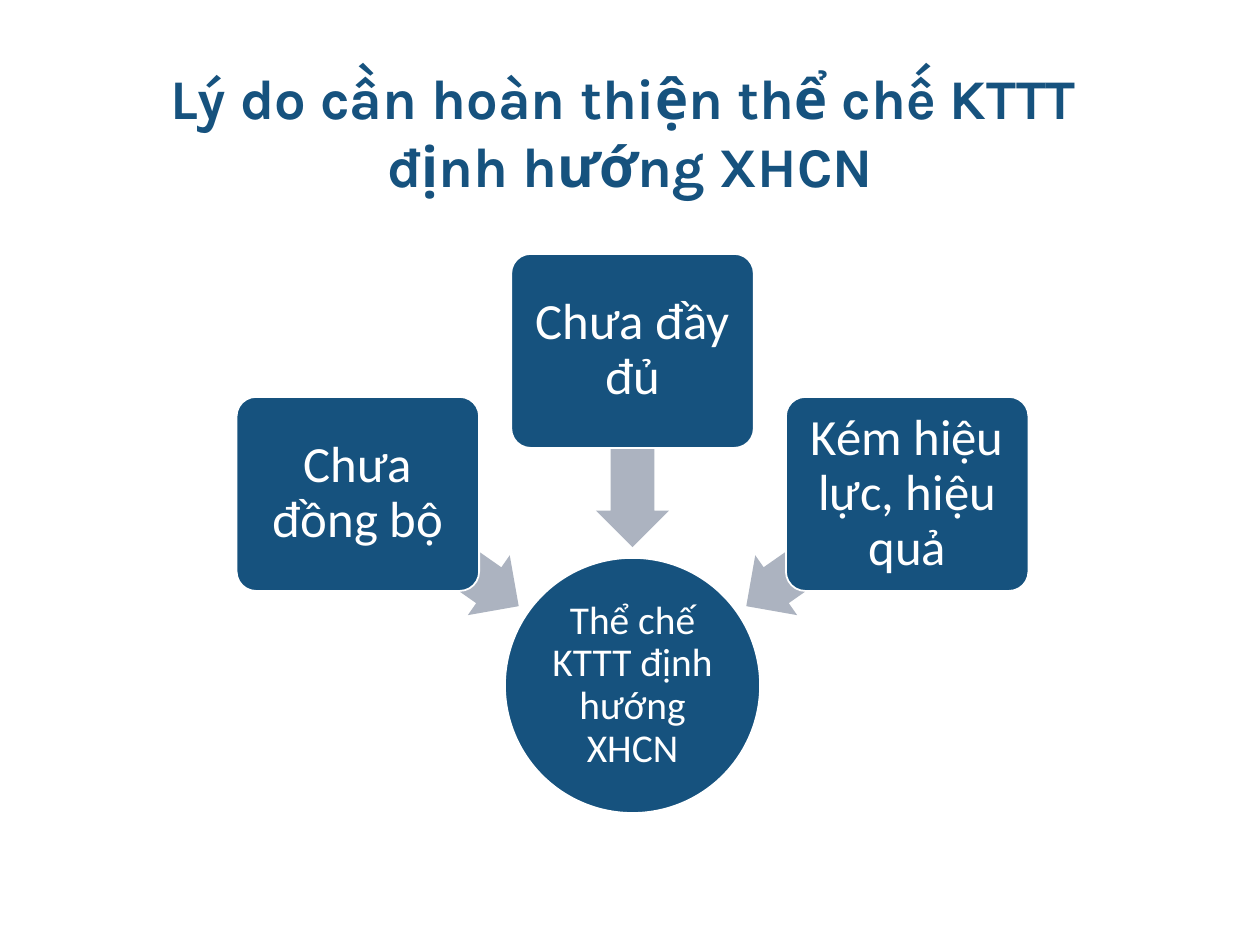
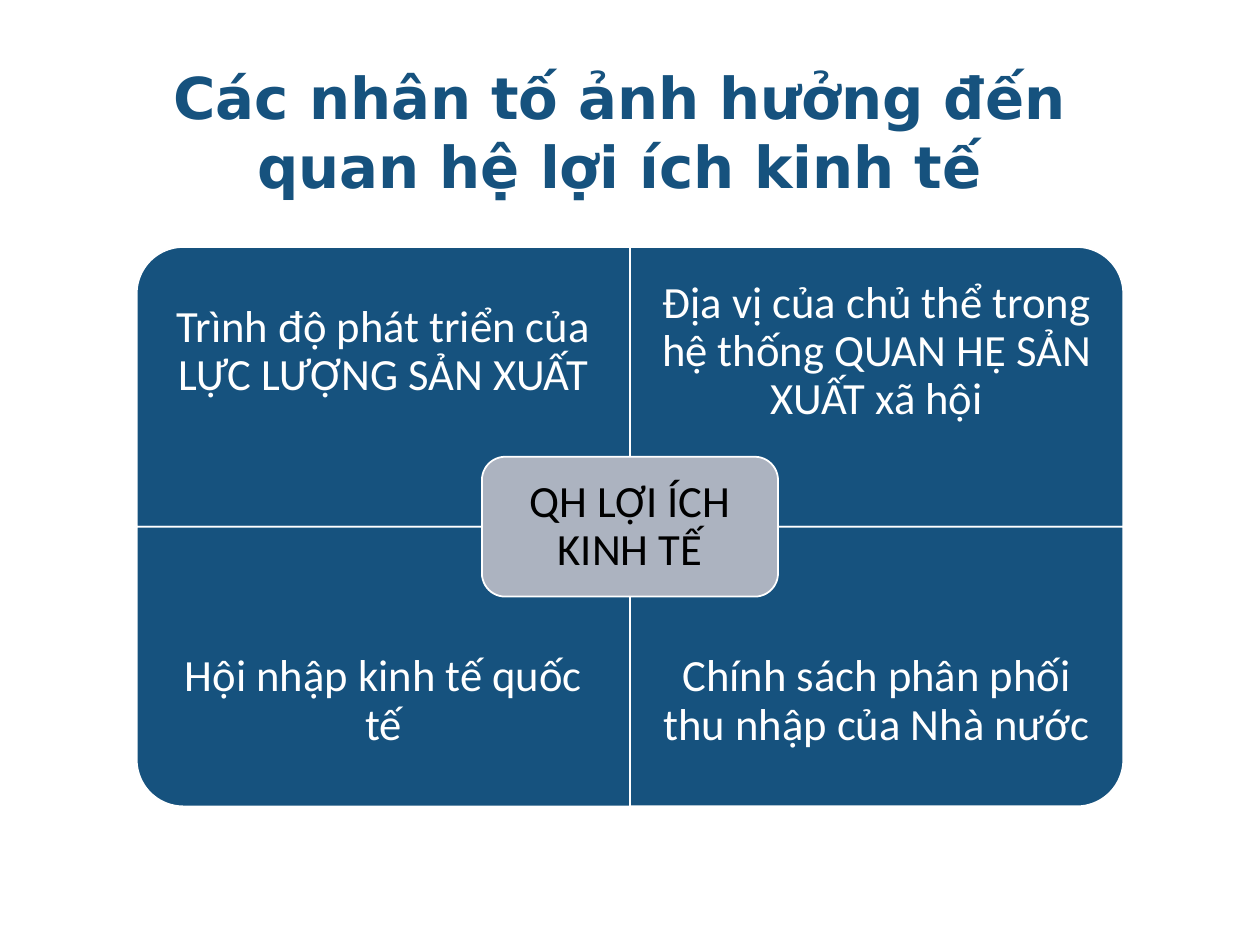
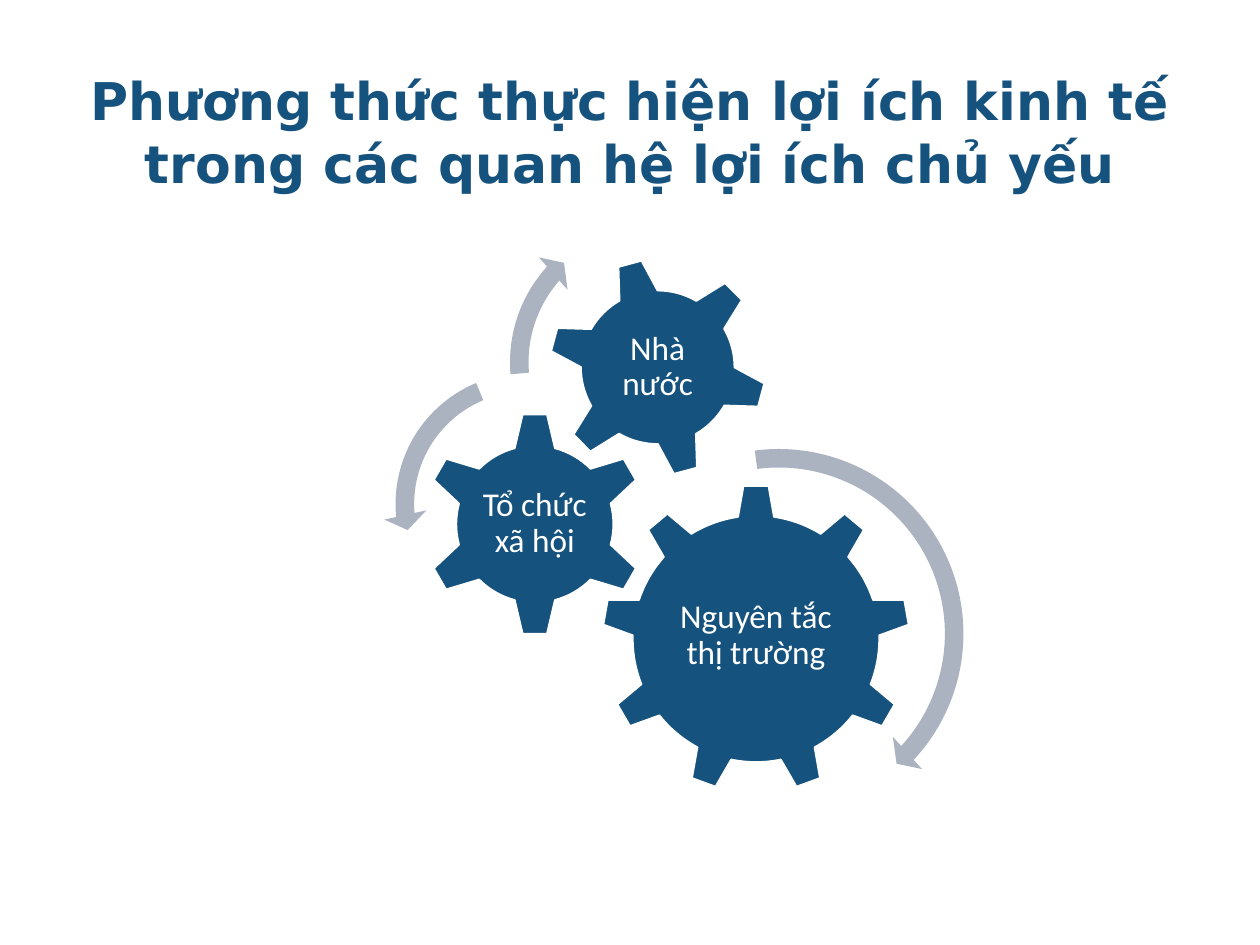
from pptx import Presentation
from pptx.dml.color import RGBColor
from pptx.enum.shapes import MSO_SHAPE as Preset
from pptx.enum.text import MSO_ANCHOR as Anchor, MSO_AUTO_SIZE as AutoSize, PP_ALIGN as Align
from pptx.util import Inches, Pt

COLORS = {"navy": "16527E", "gray": "ACB3C0", "white": "FFFFFF", "black": "000000"}
BODY_FONT = "Calibri"
TITLE_ONLY = 5


def rgb(name):
    return RGBColor.from_string(COLORS[name])


def set_margins(frame, horizontal, vertical):
    frame.margin_left = frame.margin_right = Inches(horizontal)
    frame.margin_top = frame.margin_bottom = Inches(vertical)


def format_paragraph(paragraph, size, font_name, color, bold=False):
    paragraph.alignment = Align.CENTER
    font = paragraph.font
    font.size, font.name, font.bold = Pt(size), font_name, bold
    font.color.rgb = rgb(color)


def add_titled_slide(deck, title, size, font_name):
    slide = deck.slides.add_slide(deck.slide_layouts[TITLE_ONLY])
    heading = slide.shapes.title
    heading.left, heading.top = Inches(1), Inches(0.83)
    heading.width, heading.height = Inches(18), Inches(2.5)
    frame = heading.text_frame
    frame.text = title
    frame.auto_size = AutoSize.NONE
    frame.vertical_anchor = Anchor.MIDDLE
    set_margins(frame, 0.27, 0.13)
    format_paragraph(frame.paragraphs[0], size, font_name, "navy", bold=True)
    return slide


def add_centered(slide, preset, center, size, fill="navy", outlined=True, rotation=0, adjustments=()):
    """Add a preset shape whose middle lies at center, given in inches."""
    (x, y), (width, height) = center, size
    shape = slide.shapes.add_shape(
        preset, Inches(x - width / 2), Inches(y - height / 2), Inches(width), Inches(height))
    shape.shadow.inherit = False
    shape.rotation = rotation
    shape.fill.solid()
    shape.fill.fore_color.rgb = rgb(fill)
    if outlined:
        shape.line.color.rgb = rgb("white")
        shape.line.width = Pt(2)
    else:
        shape.line.fill.background()
    for index, value in enumerate(adjustments):
        shape.adjustments[index] = value
    return shape


def write_label(holder, text, size, margin, color="white"):
    frame = holder.text_frame
    frame.text = text
    frame.word_wrap = True
    frame.vertical_anchor = Anchor.MIDDLE
    set_margins(frame, margin, margin)
    paragraph = frame.paragraphs[0]
    paragraph.line_spacing = 0.9
    format_paragraph(paragraph, size, BODY_FONT, color)


def add_upright_label(slide, text, center, box_size, size, margin):
    """Label a turned shape with a text box, so that its words stay level."""
    (x, y), (width, height) = center, box_size
    label = slide.shapes.add_textbox(
        Inches(x - width / 2), Inches(y - height / 2), Inches(width), Inches(height))
    write_label(label, text, size, margin)


def add_orbit_arrow(slide, preset, center, diameter, thickness, head_width, angles):
    """Add a circular arrow; angles are head length, end and start in degrees."""
    # Adjustments count in 100000ths, angles in 60000ths of a degree.
    adjustments = [thickness, *(degrees * 0.6 for degrees in angles), head_width]
    add_centered(slide, preset, center, (diameter, diameter), "gray", outlined=False,
                 adjustments=adjustments)


def build_reasons(deck):
    slide = add_titled_slide(
        deck, "Lý do cần hoàn thiện thể chế KTTT \vđịnh hướng XHCN", 64, "Karla")
    middle = 10.04
    institution = add_centered(slide, Preset.OVAL, (middle, 10.88), (4.05, 4.05))
    write_label(institution, "Thể chế KTTT định hướng XHCN", 45, 0.03)
    reasons = [
        ("Chưa đồng bộ", -1, 7.84, 8.73, 215),
        ("Chưa đầy đủ", 0, 5.57, 7.13, 270),
        ("Kém hiệu lực, hiệu quả", 1, 7.84, 8.73, 325),
    ]
    for text, side, box_y, arrow_y, rotation in reasons:
        add_centered(slide, Preset.LEFT_ARROW, (middle + side * 3.08, arrow_y), (3.11, 1.16),
                     "gray", outlined=False, rotation=rotation, adjustments=(0.6, 0.5))
        reason = add_centered(slide, Preset.ROUNDED_RECTANGLE, (middle + side * 4.36, box_y),
                              (3.85, 3.08), adjustments=(0.1,))
        write_label(reason, text, 58, 0.12)


def build_factors(deck):
    slide = add_titled_slide(
        deck, "Các nhân tố ảnh hưởng đến \vquan hệ lợi ích kinh tế ", 66, "DejaVu Sans")
    middle_x, middle_y = 10, 8.36
    width, height, label_height = 7.83, 4.44, 3.33
    factors = [
        ("Trình độ phát triển của LỰC LƯỢNG SẢN XUẤT", -1, -1, 270),
        ("Địa vị của chủ thể trong hệ thống QUAN HỆ SẢN XUẤT xã hội", 1, -1, 0),
        ("Hội nhập kinh tế quốc tế", -1, 1, 180),
        ("Chính sách phân phối thu nhập của Nhà nước", 1, 1, 90),
    ]
    for text, across, down, rotation in factors:
        x = middle_x + across * width / 2
        sideways = rotation in (90, 270)
        add_centered(slide, Preset.ROUND_1_RECTANGLE, (x, middle_y + down * height / 2),
                     (height, width) if sideways else (width, height), rotation=rotation)
        label_y = middle_y + down * (height - label_height / 2)
        add_upright_label(slide, text, (x, label_y), (width, label_height), 51, 0.4)
    core = add_centered(slide, Preset.ROUNDED_RECTANGLE, (middle_x, middle_y), (4.7, 2.22), "gray")
    write_label(core, "QH LỢI ÍCH KINH TẾ", 51, 0.21, "black")


def build_methods(deck):
    slide = add_titled_slide(
        deck, "Phương thức thực hiện lợi ích kinh tế trong các quan hệ lợi ích chủ yếu",
        59.4, "DejaVu Sans")
    gears = [
        ("Nguyên tắc thị trường", Preset.GEAR_9, (12, 10.14), 4.89),
        ("Tổ chức xã hội", Preset.GEAR_6, (8.49, 8.32), 3.56),
    ]
    for text, preset, center, diameter in gears:
        gear = add_centered(slide, preset, center, (diameter, diameter))
        write_label(gear, text, 38, 0.05)
    state_center = (10.44, 5.83)
    add_centered(slide, Preset.GEAR_6, state_center, (3.48, 3.48), rotation=345)
    add_upright_label(slide, "Nhà nước", state_center, (1.96, 1.96), 38, 0.05)

    add_orbit_arrow(slide, Preset.CIRCULAR_ARROW, (12.36, 10.06), 6.26,
                    0.047, 0.055, (4.98, 42.79, 262.59))
    add_orbit_arrow(slide, Preset.LEFT_CIRCULAR_ARROW, (8.36, 8), 4.55,
                    0.065, 0.075, (7.17, 174.82, 247.3))
    add_orbit_arrow(slide, Preset.CIRCULAR_ARROW, (10.35, 5.75), 4.9,
                    0.06, 0.07, (6.57, 221.9, 175.14))


def main():
    deck = Presentation()
    deck.slide_width, deck.slide_height = Inches(20), Inches(15)
    build_reasons(deck)
    build_factors(deck)
    build_methods(deck)
    deck.save("out.pptx")


if __name__ == "__main__":
    main()
